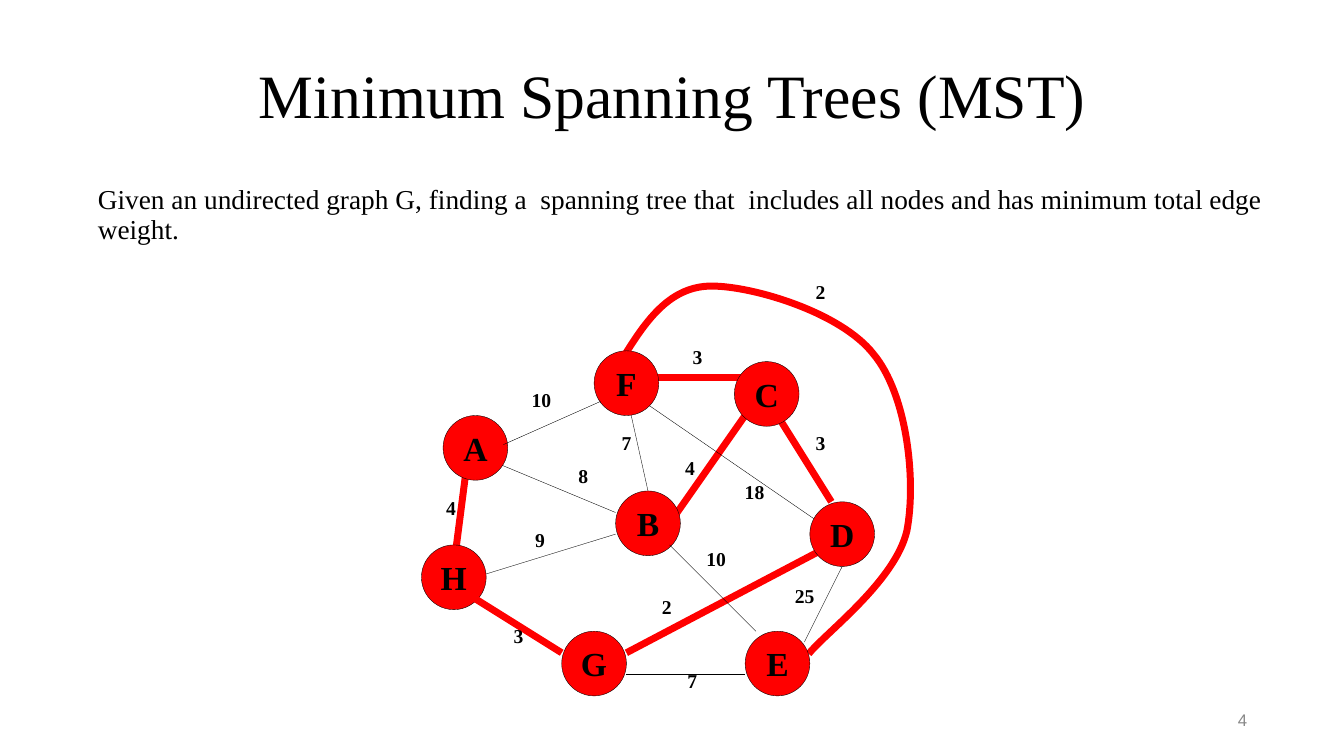
import pptx
import pptx.util
import pptx.dml.color
import pptx.enum.shapes
import pptx.enum.text
import pptx.oxml
import pptx.oxml.ns

RED = pptx.dml.color.RGBColor(0xFF, 0x00, 0x00)
BLACK = pptx.dml.color.RGBColor(0x00, 0x00, 0x00)
GREY = pptx.dml.color.RGBColor(0x88, 0x88, 0x88)
SERIF = "Times New Roman"
THIN, THICK = 0.25, 5
LEFT, TOP, CELL = 4.18, 3.48, 0.107
SIZE = 6

NODES = {
    "A": (2, 6), "H": (0, 18), "B": (18, 13), "F": (16, 0),
    "E": (30, 26), "D": (36, 14), "C": (29, 1), "G": (13, 26),
}
BACK = [
    (40.5, 17, 35.5, 27, THIN),
    (19, 4, 21, 13, THIN),
    (23, 16, 30, 6, THICK),
    (37, 16, 21, 5, THIN),
    (5, 21, 18, 17, THIN),
    (19, 28, 38, 18, THICK),
    (3.2, 18.4, 4.1, 11.4, THICK),
    (6, 10, 18, 15, THIN),
    (21.5, 2.5, 31, 2.5, THICK),
    (33, 6, 38, 14, THICK),
]
FRONT = [
    (23, 18, 31, 26, THIN),
    (30, 30, 19, 30, THIN),
    (13, 28, 5, 23, THICK),
    (7.6, 8.7, 16.6, 4.7, THIN),
]
COSTS = [
    ("4", 0.75, 13), ("25", 32.4, 21.2), ("7", 23.1, 29),
    ("2", 20.75, 22.15), ("10", 24.2, 17.7), ("18", 27.75, 11.5),
    ("3", 35, 7), ("4", 22.9, 9.25), ("3", 23.6, -1), ("7", 17, 7),
    ("8", 13, 10), ("9", 9, 16), ("3", 7, 24.9), ("10", 8, 3),
    ("2", 35, -7),
]
CURVE = [
    (18.9, 0.3), (20.9, -2.9), (23.1, -6), (26.9, -6),
    (30.75, -6), (38.9, -3.55), (41.9, 0.3),
    (45, 4), (45.9, 12), (45, 16.7),
    (43.9, 21.4), (37.4, 26.2), (35.9, 28.1),
]


def inch(num):
    return pptx.util.Inches(num)


def col(num):
    return inch(LEFT + num * CELL)


def row(num):
    return inch(TOP + num * CELL)


def write(frame, text, size=14, color=BLACK, font=SERIF, bold=False,
          align="CENTER", anchor="TOP", inset=0.05, space=1.0):
    frame.word_wrap = True
    frame.vertical_anchor = getattr(pptx.enum.text.MSO_ANCHOR, anchor)
    frame.margin_left = frame.margin_right = inch(inset)
    frame.margin_top = frame.margin_bottom = inch(inset)
    para = frame.paragraphs[0]
    para.alignment = getattr(pptx.enum.text.PP_ALIGN, align)
    para.line_spacing = space
    run = para.add_run()
    run.text = text
    run.font.name = font
    run.font.size = pptx.util.Pt(size)
    run.font.bold = bold
    run.font.color.rgb = color


def box(slide, text, left, top, width, height, **style):
    shape = slide.shapes.add_textbox(left, top, width, height)
    write(shape.text_frame, text, **style)


def stroke(line, color, width):
    line.color.rgb = color
    line.width = pptx.util.Pt(width)


def edge(slide, left, top, right, base, width):
    kind = pptx.enum.shapes.MSO_CONNECTOR.STRAIGHT
    link = slide.shapes.add_connector(
        kind, col(left), row(top), col(right), row(base))
    stroke(link.line, RED if width == THICK else BLACK, width)
    props = link._element.spPr
    props.append(pptx.oxml.parse_xml(
        "<a:effectLst %s/>" % pptx.oxml.ns.nsdecls("a")))


def node(slide, name, left, top):
    kind = pptx.enum.shapes.MSO_SHAPE.OVAL
    side = inch(SIZE * CELL)
    disc = slide.shapes.add_shape(kind, col(left), row(top), side, side)
    disc.shadow.inherit = False
    disc.fill.solid()
    disc.fill.fore_color.rgb = RED
    stroke(disc.line, BLACK, THIN)
    write(disc.text_frame, name, size=24, bold=True, anchor="MIDDLE", inset=0)


def cost(slide, text, left, top):
    width = 4 if len(text) == 1 else 6.25
    box(slide, text, col(left), row(top), inch(width * CELL), inch(0.4),
        bold=True)


def curve(slide, spots):
    marks = [(col(x), row(y)) for x, y in spots]
    form = slide.shapes.build_freeform(*marks[0])
    form.add_line_segments(marks[1:], close=False)
    shape = form.convert_to_shape()
    shape.shadow.inherit = False
    shape.fill.background()
    stroke(shape.line, RED, THICK)
    tag = pptx.oxml.ns.qn
    steps = list(shape._element.iter(tag("a:lnTo")))
    for start in range(0, len(steps), 3):
        first, *rest = steps[start:start + 3]
        first.tag = tag("a:cubicBezTo")
        for step in rest:
            first.append(step[0])
            step.getparent().remove(step)


def main():
    deck = pptx.Presentation()
    deck.slide_width = inch(13.33)
    deck.slide_height = inch(7.5)
    slide = deck.slides.add_slide(deck.slide_layouts[6])
    box(slide, "Minimum Spanning Trees (MST)", inch(0.92), inch(0.07),
        inch(11.5), inch(1.73), size=44, anchor="MIDDLE")
    box(slide, "Given an undirected graph G, finding a  spanning tree that  "
        "includes all nodes and has minimum total edge weight.",
        inch(0.92), inch(1.8), inch(12.03), inch(0.7),
        size=19.5, align="LEFT", space=0.9)
    box(slide, "4", inch(9.42), inch(7), inch(3), inch(0.29),
        size=12, color=GREY, font="Arial", align="RIGHT", anchor="MIDDLE")
    curve(slide, CURVE)
    for item in BACK:
        edge(slide, *item)
    for name, spot in NODES.items():
        node(slide, name, *spot)
    for item in FRONT:
        edge(slide, *item)
    for item in COSTS:
        cost(slide, *item)
    deck.save("out.pptx")


if __name__ == "__main__":
    main()
